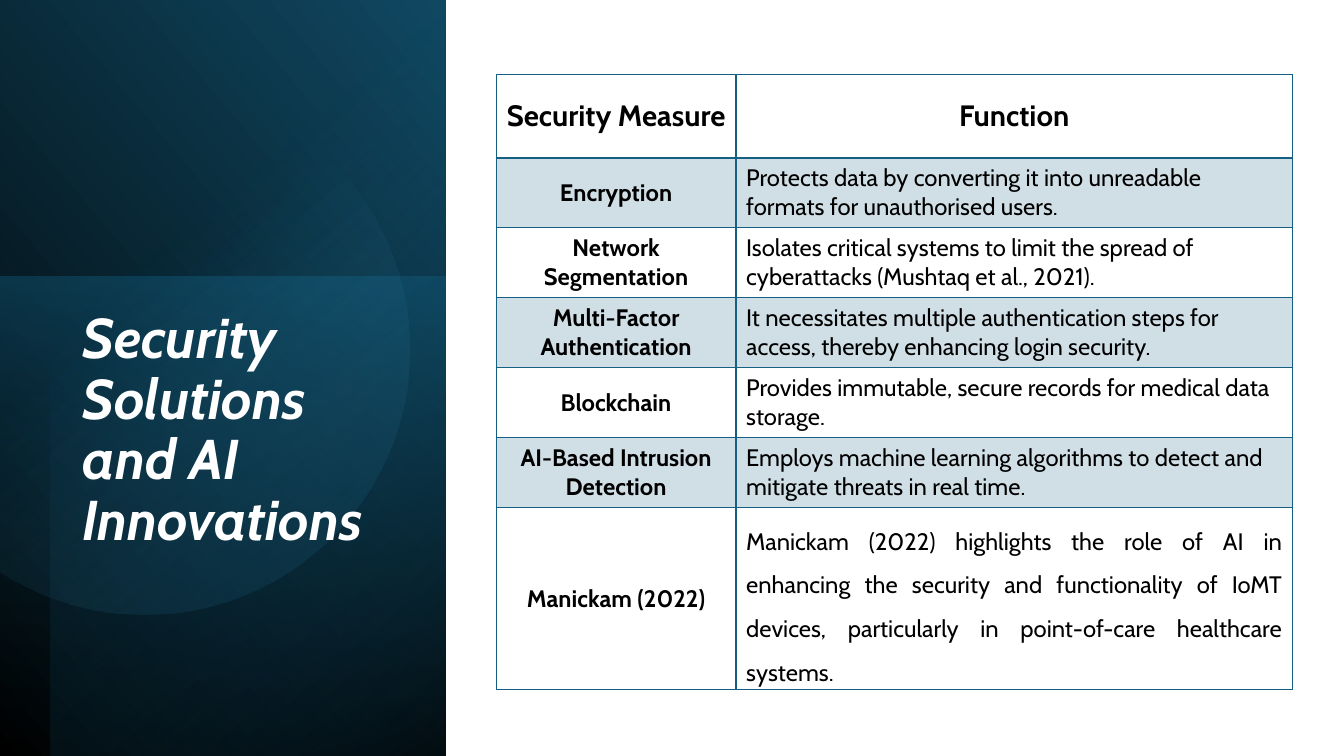
import math

import pptx
import pptx.dml.color
import pptx.enum.shapes
import pptx.enum.text
import pptx.oxml
import pptx.oxml.ns
import pptx.util

Pt = pptx.util.Pt
RGBColor = pptx.dml.color.RGBColor
PP_ALIGN = pptx.enum.text.PP_ALIGN
ANCHOR = pptx.enum.text.MSO_ANCHOR
qn = pptx.oxml.ns.qn

FONT = "Cabin"
BLACK = RGBColor(0x00, 0x00, 0x00)
WHITE = RGBColor(0xFF, 0xFF, 0xFF)
TEAL = RGBColor(0x15, 0x60, 0x82)
DEEP_TEAL = RGBColor(0x10, 0x48, 0x62)
DARK_TEAL = RGBColor(0x0B, 0x30, 0x41)
SKY = RGBColor(0x46, 0xB1, 0xE1)

HEADER = ("Security Measure", "Function")
MEASURES = [
    ("Encryption",
     "Protects data by converting it into unreadable formats for unauthorised users."),
    ("Network Segmentation",
     "Isolates critical systems to limit the spread of cyberattacks (Mushtaq et al., 2021)."),
    ("Multi-Factor Authentication",
     "It necessitates multiple authentication steps for access, thereby enhancing login security."),
    ("Blockchain",
     "Provides immutable, secure records for medical data storage."),
    ("AI-Based Intrusion Detection",
     "Employs machine learning algorithms to detect and mitigate threats in real time."),
    ("Manickam (2022)",
     "Manickam (2022) highlights the role of AI in enhancing the security and functionality "
     "of IoMT devices, particularly in point-of-care healthcare systems."),
]
COLUMN_WIDTHS = (171.4, 397.4)
ROW_HEIGHTS = (59.5, 50, 50, 50, 50, 50, 125.3)


def set_gradient(shape, stops, angle):
    """Fill with (position %, colour, opacity %) stops; the angle runs clockwise."""
    shape.shadow.inherit = False
    shape.line.fill.background()
    shape.fill.background()
    stop_xml = "".join(
        f'<a:gs pos="{position * 1000}"><a:srgbClr val="{color}">'
        f'<a:alpha val="{opacity * 1000}"/></a:srgbClr></a:gs>'
        for position, color, opacity in stops)
    gradient = pptx.oxml.parse_xml(
        f'<a:gradFill {pptx.oxml.ns.nsdecls("a")} rotWithShape="1"><a:gsLst>{stop_xml}</a:gsLst>'
        f'<a:lin ang="{round(angle * 60000)}" scaled="0"/></a:gradFill>')
    properties = shape.element.spPr
    properties.replace(properties.find(qn("a:noFill")), gradient)


def add_gradient_panel(slide, box, rotation, flipped, stops, angle):
    shape = slide.shapes.add_shape(
        pptx.enum.shapes.MSO_SHAPE.RECTANGLE, *(Pt(length) for length in box))
    shape.rotation = rotation
    if flipped:
        shape.element.spPr.find(qn("a:xfrm")).set("flipH", "1")
    set_gradient(shape, stops, angle)


def add_cut_circle(slide, center_x, center_y, radius, stops, angle):
    """Circle cut off by the left edge of the slide."""
    limit = math.acos(-center_x / radius)
    steps = 120
    points = []
    for step in range(steps + 1):
        turn = limit * (2 * step / steps - 1)
        points.append((Pt(center_x + radius * math.cos(turn)),
                       Pt(center_y + radius * math.sin(turn))))
    builder = slide.shapes.build_freeform(*points[0])
    builder.add_line_segments(points[1:], close=True)
    set_gradient(builder.convert_to_shape(), stops, angle)


def style_font(paragraph, size, color, bold, italic=False):
    font = paragraph.font
    font.name, font.size, font.bold, font.italic = FONT, Pt(size), bold, italic
    font.color.rgb = color


def add_title(slide, text, box):
    frame = slide.shapes.add_textbox(*(Pt(length) for length in box)).text_frame
    frame.word_wrap = True
    frame.vertical_anchor = ANCHOR.TOP
    paragraph = frame.paragraphs[0]
    paragraph.text = text
    paragraph.line_spacing = 0.9
    style_font(paragraph, 40, WHITE, bold=True, italic=True)


def set_borders(cell, top, bottom):
    properties = cell._tc.get_or_add_tcPr()
    for side, width in (("L", 1), ("R", 1), ("T", top), ("B", bottom)):
        properties.append(pptx.oxml.parse_xml(
            f'<a:ln{side} {pptx.oxml.ns.nsdecls("a")} w="{Pt(width)}"><a:solidFill>'
            f'<a:srgbClr val="{TEAL}"/></a:solidFill></a:ln{side}>'))


def set_cell_fill(cell, tinted):
    if not tinted:
        cell.fill.background()
        return
    cell.fill.solid()
    cell.fill.fore_color.rgb = TEAL
    color = cell._tc.tcPr.find(qn("a:solidFill")).find(qn("a:srgbClr"))
    color.append(pptx.oxml.parse_xml(
        f'<a:alpha {pptx.oxml.ns.nsdecls("a")} val="20000"/>'))


def add_measures_table(slide, left, top):
    rows = [HEADER, *MEASURES]
    table = slide.shapes.add_table(
        len(rows), len(HEADER), Pt(left), Pt(top),
        Pt(sum(COLUMN_WIDTHS)), Pt(sum(ROW_HEIGHTS))).table
    table.horz_banding = False
    for column, width in zip(table.columns, COLUMN_WIDTHS):
        column.width = Pt(width)
    for row, height in zip(table.rows, ROW_HEIGHTS):
        row.height = Pt(height)

    for row_index, texts in enumerate(rows):
        is_header = row_index == 0
        for column_index, text in enumerate(texts):
            cell = table.cell(row_index, column_index)
            cell.vertical_anchor = ANCHOR.MIDDLE
            set_borders(cell, top=2 if row_index == 1 else 1, bottom=2 if is_header else 1)
            set_cell_fill(cell, tinted=row_index % 2 == 1)
            is_label = is_header or column_index == 0
            paragraph = cell.text_frame.paragraphs[0]
            paragraph.text = text
            paragraph.alignment = PP_ALIGN.CENTER if is_label else PP_ALIGN.LEFT
            style_font(paragraph, 21 if is_header else 17, BLACK, bold=is_label)

    # The closing citation is justified and set wider
    citation = table.cell(len(rows) - 1, 1).text_frame.paragraphs[0]
    citation.alignment = PP_ALIGN.JUSTIFY
    citation.line_spacing = 1.5


def main():
    presentation = pptx.Presentation()
    presentation.slide_width = Pt(960)
    presentation.slide_height = Pt(540)
    slide = presentation.slides.add_slide(presentation.slide_layouts[6])

    # Layered gradient side panel
    add_gradient_panel(slide, (-111.6, 111.6, 541.4, 318.2), 90, True,
                       [(0, BLACK, 100), (100, DEEP_TEAL, 100)], 310)
    add_gradient_panel(slide, (-12.2, 209.5, 342.7, 318.2), 270, False,
                       [(0, TEAL, 50), (100, DARK_TEAL, 0)], 190)
    add_gradient_panel(slide, (-92.9, 128.9, 540, 282.2), 270, True,
                       [(0, BLACK, 59), (69, TEAL, 0)], 220)
    add_cut_circle(slide, 103, 249.8, 189.4,
                   [(39, SKY, 0), (100, DEEP_TEAL, 26)], 51.6)

    # Title and table
    add_title(slide, "Security Solutions and AI Innovations", (51.8, 218.2, 226.8, 241.9))
    add_measures_table(slide, 354.4, 53.3)

    presentation.save("out.pptx")


if __name__ == "__main__":
    main()
